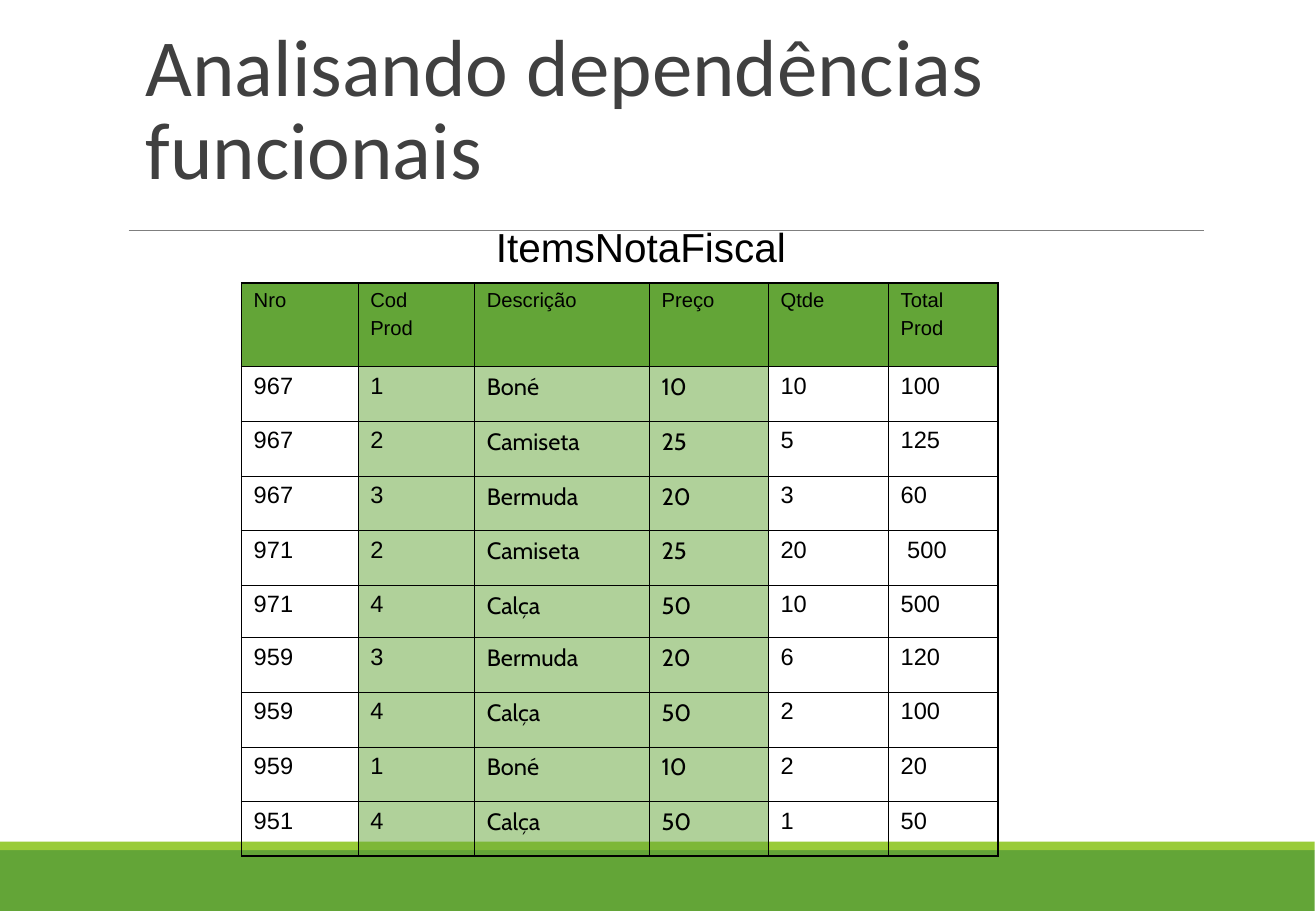
from lxml.etree import SubElement
from pptx import Presentation
from pptx.dml.color import RGBColor
from pptx.enum.shapes import MSO_CONNECTOR, MSO_SHAPE
from pptx.enum.text import MSO_ANCHOR, PP_ALIGN
from pptx.oxml.ns import qn
from pptx.util import Inches, Pt

GREEN = "63A537"
BLACK = "000000"
THIN, THICK = 0.45, 1.08
HEADERS = ["Nro", "Cod\nProd", "Descrição", "Preço", "Qtde", "Total\nProd"]
ITEMS = [
    ["967", "1", "Boné", "10", "10", "100"],
    ["967", "2", "Camiseta", "25", "5", "125"],
    ["967", "3", "Bermuda", "20", "3", "60"],
    ["971", "2", "Camiseta", "25", "20", " 500"],
    ["971", "4", "Calça", "50", "10", "500"],
    ["959", "3", "Bermuda", "20", "6", "120"],
    ["959", "4", "Calça", "50", "2", "100"],
    ["959", "1", "Boné", "10", "2", "20"],
    ["951", "4", "Calça", "50", "1", "50"],
]
COLUMN_WIDTHS = [0.96, 0.96, 1.44, 0.98, 0.99, 0.9]
ROW_HEIGHTS = [0.69] + [0.45] * 4 + [0.43] + [0.45] * 4
PRODUCT_COLUMNS = (1, 2, 3)
CABIN_COLUMNS = (2, 3)


def color(value):
    return RGBColor.from_string(value)


def write(frame, text, font, size, ink, before=0):
    frame.text = text
    for para in frame.paragraphs:
        para.space_before = Pt(before)
        for span in para.runs:
            span.font.name = font
            span.font.size = Pt(size)
            span.font.color.rgb = color(ink)


def add_band(page, top, height, fill):
    band = page.shapes.add_shape(
        MSO_SHAPE.RECTANGLE, 0, Inches(top), Inches(10.83), Inches(height))
    band.shadow.inherit = False
    band.fill.solid()
    band.fill.fore_color.rgb = color(fill)
    band.line.fill.background()


def add_rule(page, left, right, top):
    rule = page.shapes.add_connector(
        MSO_CONNECTOR.STRAIGHT, Inches(left), Inches(top), Inches(right), Inches(top))
    rule.line.color.rgb = color("7F7F7F")
    rule.line.width = Pt(0.5)
    SubElement(rule._element.spPr, qn("a:effectLst"))


def add_text(page, left, top, width, height, text, font, size, ink, before=0):
    box = page.shapes.add_textbox(
        Inches(left), Inches(top), Inches(width), Inches(height))
    box.text_frame.word_wrap = True
    write(box.text_frame, text, font, size, ink, before)
    return box.text_frame


def set_border(cell, side, width):
    line = SubElement(cell._tc.get_or_add_tcPr(), qn(f"a:ln{side}"), w=str(Pt(width)))
    fill = SubElement(line, qn("a:solidFill"))
    SubElement(fill, qn("a:srgbClr"), val=BLACK)


def fill_cell(cell, row, column):
    if row and column not in PRODUCT_COLUMNS:
        cell.fill.background()
        return
    cell.fill.solid()
    cell.fill.fore_color.rgb = color(GREEN)
    if row:
        tint = cell._tc.tcPr.find(".//" + qn("a:solidFill") + "[last()]/" + qn("a:srgbClr"))
        tint = cell._tc.tcPr.find(qn("a:solidFill")).find(qn("a:srgbClr"))
        SubElement(tint, qn("a:alpha"), val="50000")


def add_items_table(page):
    rows = [HEADERS] + ITEMS
    last_row, last_column = len(rows) - 1, len(HEADERS) - 1
    table = page.shapes.add_table(
        len(rows), len(HEADERS), Inches(1.99), Inches(2.33),
        Inches(sum(COLUMN_WIDTHS)), Inches(sum(ROW_HEIGHTS))).table
    table.first_row = False
    table.horz_banding = False
    for column, width in zip(table.columns, COLUMN_WIDTHS):
        column.width = Inches(width)
    for row, height in zip(table.rows, ROW_HEIGHTS):
        row.height = Inches(height)
    for row, texts in enumerate(rows):
        for column, text in enumerate(texts):
            cell = table.cell(row, column)
            font = "Cabin" if row and column in CABIN_COLUMNS else "Arial"
            size, before = (14, 3.5) if row else (12, 3)
            write(cell.text_frame, text, font, size, BLACK, before)
            outer_sides = {"L": column == 0, "R": column == last_column,
                           "T": row == 0, "B": row == last_row}
            for side, outer in outer_sides.items():
                set_border(cell, side, THICK if outer else THIN)
            fill_cell(cell, row, column)


def main():
    deck = Presentation()
    deck.slide_width, deck.slide_height = Inches(10.84), Inches(7.5)
    page = deck.slides.add_slide(deck.slide_layouts[6])
    add_band(page, 7, 0.5, GREEN)
    add_band(page, 6.93, 0.07, "99CB38")
    add_rule(page, 1.06, 9.92, 1.9)
    title = add_text(page, 1.1, 0.11, 9.82, 1.55,
                     "Analisando dependências funcionais", "Calibri", 48, "404040")
    title.vertical_anchor = MSO_ANCHOR.BOTTOM
    title.paragraphs[0].line_spacing = 0.85
    add_items_table(page)
    caption = add_text(page, 3.61, 1.78, 3.34, 0.5,
                       "ItemsNotaFiscal", "Arial", 24, BLACK, 15)
    caption.paragraphs[0].alignment = PP_ALIGN.CENTER
    deck.save("out.pptx")


if __name__ == "__main__":
    main()
